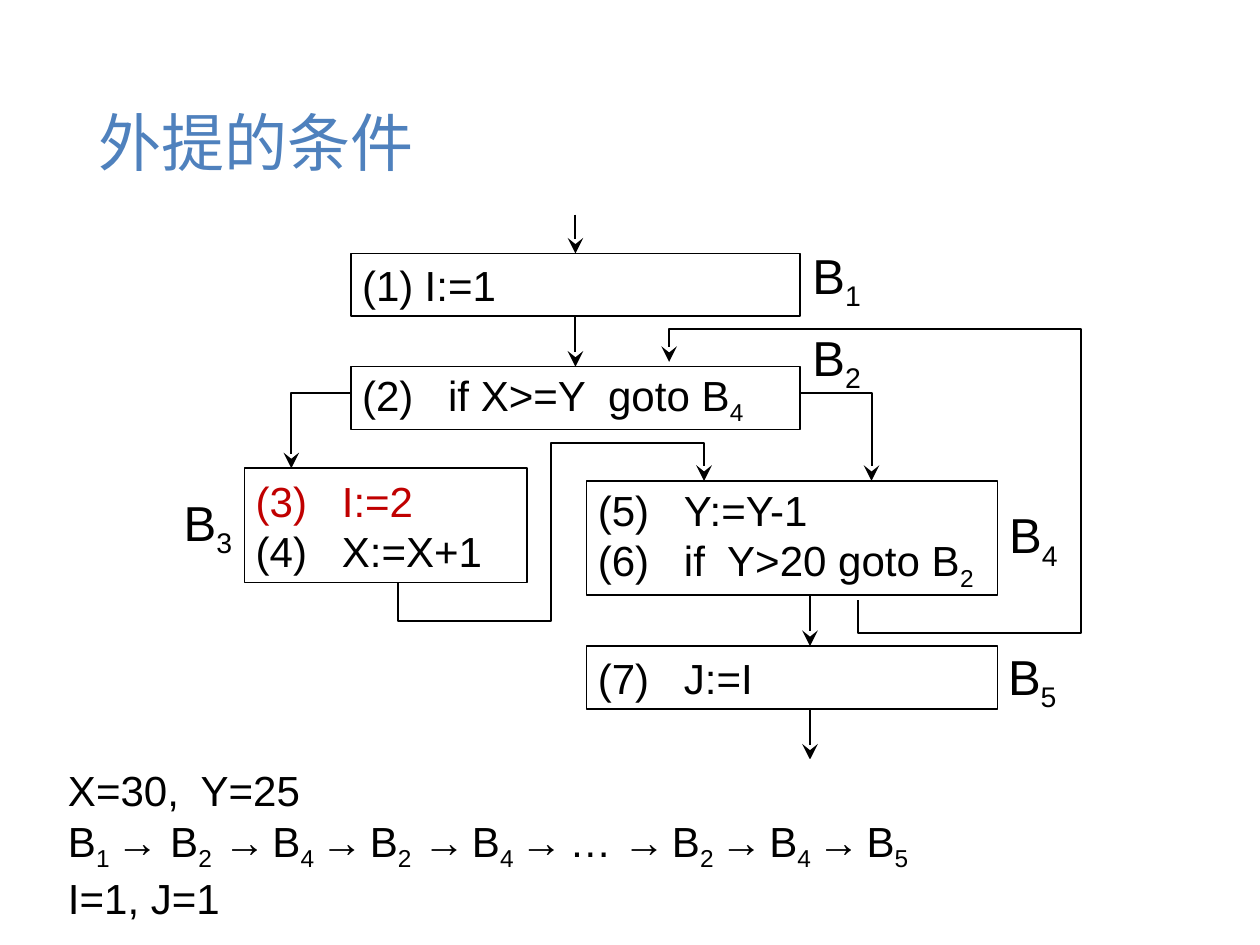
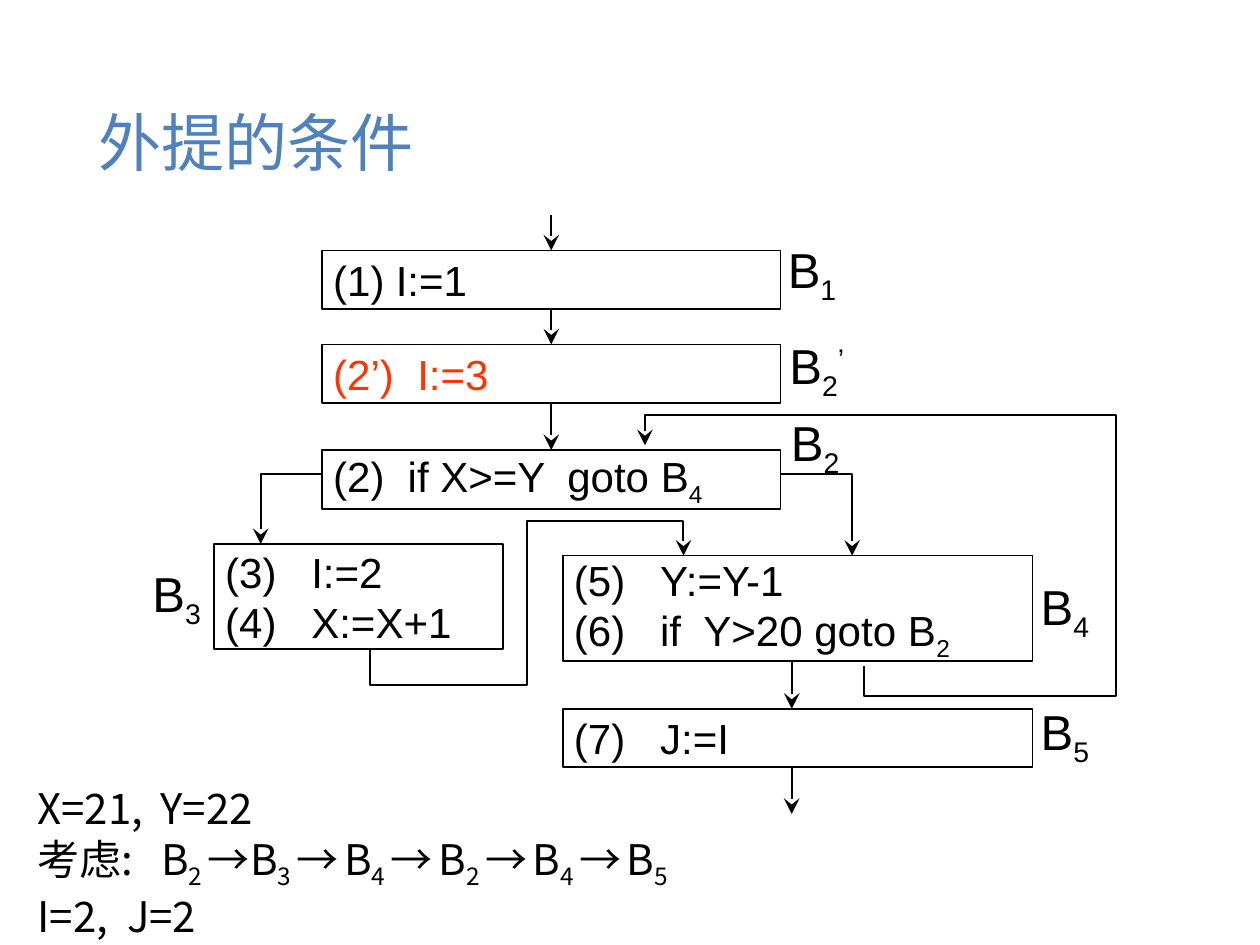
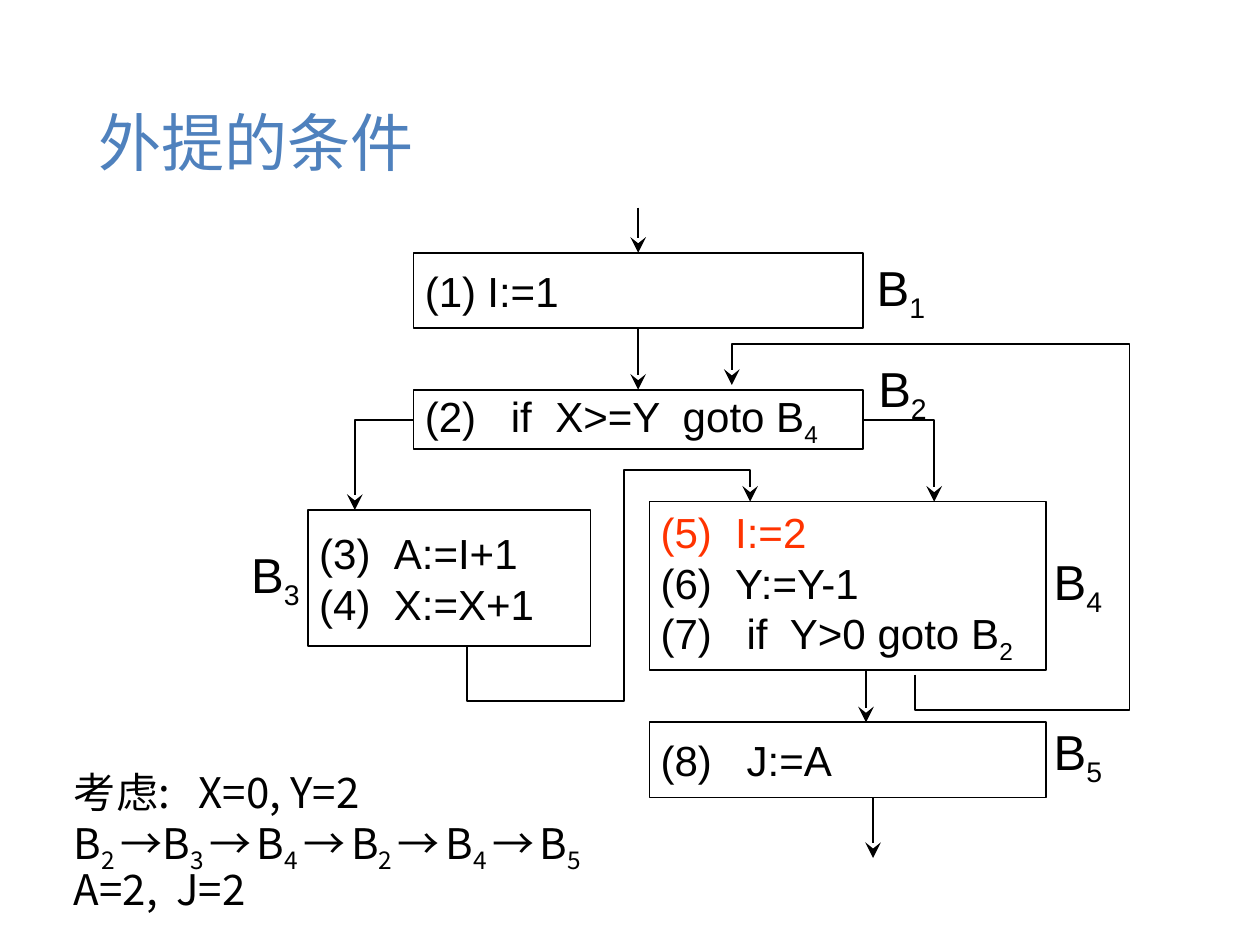
from typing import NamedTuple

from lxml import etree
from pptx import Presentation
from pptx.dml.color import RGBColor as RGB
from pptx.enum.shapes import MSO_CONNECTOR as CONN, MSO_SHAPE as SHAPE
from pptx.enum.text import MSO_ANCHOR as ANCHOR, PP_ALIGN as ALIGN
from pptx.oxml.ns import qn
from pptx.util import Pt

HUES = {"ink": "000000", "title": "4F81BD", "paper": "FFFFFF",
        "dark": "C00000", "red": "FF3300"}
CJK = "Noto Sans CJK SC"
TITLE = {"name": CJK, "size": Pt(39.7)}
CODE = {"name": "Arial", "size": Pt(26.5)}
NOTE = {"name": CJK, "size": Pt(26.5)}
LABEL = {"name": "Arial", "size": Pt(30.9)}
HEAD = {"type": "stealth", "w": "lg", "len": "lg"}
THIN, FLOW = 1, 1.25
ROUTE = "B|2 |→B|3 |→| |B|4 |→| |B|2 |→| |B|4 |→| |B|5"


class Line(NamedTuple):
    """Text whose odd parts between bars are subscripts, with its tab stops."""
    text: str
    stops: tuple = ()
    hue: str = "ink"


class Box(NamedTuple):
    left: float
    top: float
    width: float
    height: float

    @property
    def right(self):
        return self.left + self.width

    @property
    def base(self):
        return self.top + self.height

    @property
    def mid(self):
        return self.left + self.width / 2


def color(name):
    return RGB.from_string(HUES[name])


def add_run(para, text, style, hue, shift):
    run = para.add_run()
    run.text = text
    for key, value in style.items():
        setattr(run.font, key, value)
    run.font.color.rgb = color(hue)
    props = run.font._element
    etree.SubElement(props, qn("a:ea"), typeface=style["name"])
    if shift:
        props.set("baseline", str(shift * 1000))


def write(shape, lines, style, anchor=ANCHOR.MIDDLE, align=ALIGN.LEFT,
          wrap=True, space=1.0):
    frame = shape.text_frame
    for key, value in {"word_wrap": wrap, "vertical_anchor": anchor}.items():
        setattr(frame, key, value)
    for num, line in enumerate(lines):
        para = frame.add_paragraph() if num else frame.paragraphs[0]
        para.alignment, para.line_spacing = align, space
        if line.stops:
            tabs = etree.SubElement(para._p.get_or_add_pPr(), qn("a:tabLst"))
            for stop in line.stops:
                etree.SubElement(tabs, qn("a:tab"), pos=str(Pt(stop)), algn="l")
        for part, text in enumerate(line.text.split("|")):
            if text.startswith("^"):
                add_run(para, text[1:], style, line.hue, 30)
            elif text:
                add_run(para, text, style, line.hue, -25 if part % 2 else 0)


def add_title(slide, text):
    box = slide.shapes.add_textbox(*map(Pt, (54.75, 31.5, 685, 115)))
    write(box, [Line(text, hue="title")], TITLE)


def add_rect(slide, box):
    rect = slide.shapes.add_shape(SHAPE.RECTANGLE, *map(Pt, box))
    rect.shadow.inherit = False
    return rect


def add_block(slide, box, lines):
    rect = add_rect(slide, box)
    rect.fill.background()
    rect.line.color.rgb = color("ink")
    rect.line.width = Pt(THIN)
    write(rect, lines, CODE)


def add_label(slide, text, x, y):
    """Block name centred on x, y."""
    box = slide.shapes.add_textbox(*map(Pt, (x - 32, y - 24, 64, 48)))
    write(box, [Line(text)], LABEL, align=ALIGN.CENTER, wrap=False)


def add_note(slide, box, lines, style=NOTE, space=1.0):
    rect = add_rect(slide, Box(*box))
    rect.fill.solid()
    rect.fill.fore_color.rgb = color("paper")
    rect.line.fill.background()
    write(rect, lines, style, ANCHOR.TOP, space=space)


def add_arrow(slide, *dots):
    """Arrow through the dots: a connector for two, else a bent outline."""
    pts = [(Pt(x), Pt(y)) for x, y in dots]
    if len(pts) == 2:
        arrow = slide.shapes.add_connector(CONN.STRAIGHT, *pts[0], *pts[1])
    else:
        path = slide.shapes.build_freeform(*pts[0])
        path.add_line_segments(pts[1:], close=False)
        arrow = path.convert_to_shape()
        arrow.fill.background()
    arrow.line.color.rgb = color("ink")
    arrow.line.width = Pt(FLOW)
    props = arrow._element.spPr
    etree.SubElement(props.find(qn("a:ln")), qn("a:tailEnd"), HEAD)
    etree.SubElement(props, qn("a:effectLst"))


def add_flow(slide, trunk, then, loop, last, start, fork, exits, drop, back, hop):
    """Trunk blocks in a column, then two branches, a loop and an exit.

    Every block is a pair of box and lines. fork is the branch height, exits
    the x of the two lower arrows, drop the length of the last one, back the
    x and top of the loop line, hop the bends from one branch to the other.
    """
    for box, lines in (*trunk, then, loop, last):
        add_block(slide, box, lines)
    boxes = [box for box, _ in trunk]
    test, left, right, end = boxes[-1], then[0], loop[0], last[0]

    ends = [start] + [box.base for box in boxes[:-1]]
    for y, box in zip(ends, boxes):
        add_arrow(slide, (box.mid, y), (box.mid, box.top))

    for side, x, goal in ((test.left, left.left + 29.5, left),
                          (test.right, test.right + 45, right)):
        add_arrow(slide, (side, fork), (x, fork), (x, goal.top))

    add_arrow(slide, (exits[0], right.base), (exits[0], end.top))
    add_arrow(slide, (exits[1], end.base), (exits[1], end.base + drop))

    x, high = back
    low, far, near = end.top - 8, right.right + 52.5, test.mid + 59
    add_arrow(slide, (x, right.base + 3), (x, low), (far, low),
              (far, high), (near, high), (near, test.top - 3))

    x, low, turn, high, goal = hop
    add_arrow(slide, (x, left.base), (x, low), (turn, low),
              (turn, high), (goal, high), (goal, right.top))


def first_slide(slide):
    add_flow(
        slide,
        trunk=[(Box(221, 159.75, 283, 39.5), [Line("(1)\tI:=1", (39.5,))]),
               (Box(221, 231, 283, 39.5),
                [Line("(2)\tif X>=Y\tgoto B|4", (54.25, 155))])],
        then=(Box(154, 295, 178, 72),
              [Line("(3)\tI:=2", (54.25,), "dark"),
               Line("(4)\tX:=X+1", (54.25,))]),
        loop=(Box(369.5, 303, 259, 72),
              [Line("(5)\tY:=Y-1", (54.25,)),
               Line("(6)\tif\tY>20 goto B|2", (54.25, 81.5))]),
        last=(Box(369.5, 407, 259, 39.75), [Line("(7)\tJ:=I", (54.25,))]),
        start=135.25, fork=247.5, exits=(510.25, 510.25), drop=31.75,
        back=(540.75, 207.25), hop=(250.5, 391, 347, 279.25, 443.5))
    for label in (("B|1", 527, 175.75), ("B|2", 527, 227.5),
                  ("B|3", 131, 331.25), ("B|4", 651, 339), ("B|5", 650.25, 428)):
        add_label(slide, *label)
    add_note(slide, (35.75, 478, 685, 104), [
        Line("X=30,\tY=25", (83.5,)),
        Line("B|1 |→ B|2| →| |B|4 |→| |B|2| →| |B|4 |→| |… →| |B|2 |"
             "→| |B|4 |→| |B|5"),
        Line("I=1, J=1")], CODE)


def second_slide(slide):
    add_flow(
        slide,
        trunk=[(Box(202.75, 157.75, 289, 37), [Line("(1)\tI:=1", (39.5,))]),
               (Box(202.75, 217, 289, 37), [Line("(2’)\tI:=3", (53,), "red")]),
               (Box(202.75, 283.5, 289, 37),
                [Line("(2)\tif X>=Y\tgoto B|4", (47, 147.5))])],
        then=(Box(134.75, 342.75, 182, 66),
              [Line("(3)\tI:=2", (54.25,)), Line("(4)\tX:=X+1", (54.25,))]),
        loop=(Box(354.5, 350, 296, 66.5),
              [Line("(5)\tY:=Y-1", (54.25,)),
               Line("(6)\tif\tY>20 goto B|2", (54.25, 81.5))]),
        last=(Box(354.5, 446.5, 296, 36.75), [Line("(7)\tJ:=I", (54.25,))]),
        start=135.25, fork=298.5, exits=(498.75, 498.75), drop=29.5,
        back=(544.25, 261.5), hop=(233.25, 431.5, 332, 328, 430.5))
    for label in (("B|1", 511.5, 172), ("B|2|^’", 514.5, 232.5),
                  ("B|2", 513.5, 280.75), ("B|3", 111.25, 375.75),
                  ("B|4", 670.75, 384), ("B|5", 670.75, 463)):
        add_label(slide, *label)
    add_note(slide, (16.5, 489.5, 433, 104), [
        Line("X=21,\tY=22", (77.5,)),
        Line("考虑:\t" + ROUTE, (78,)),
        Line("I=2,\tJ=2", (56.5,))])


def third_slide(slide):
    add_flow(
        slide,
        trunk=[(Box(260.5, 159.25, 283, 47.5), [Line("(1)\tI:=1", (39.5,))]),
               (Box(260.5, 245.5, 283, 37.5),
                [Line("(2)\tif\tX>=Y\tgoto B|4", (54.25, 82.25, 162.5))])],
        then=(Box(194, 321.25, 178, 85.75),
              [Line("(3)\tA:=I+1", (47,)), Line("(4)\tX:=X+1", (47,))]),
        loop=(Box(409, 316, 250, 106),
              [Line("(5)\tI:=2", (47,), "red"), Line("(6)\tY:=Y-1", (47,)),
               Line("(7)\tif\tY>0 goto B|2", (54.25, 81.5))]),
        last=(Box(409, 455, 250, 47.5), [Line("(8)\tJ:=A", (54.25,))]),
        start=130.75, fork=264.5, exits=(545.5, 550), drop=38,
        back=(576.5, 216.75), hop=(294, 441.5, 393, 296, 472.5))
    for label in (("B|1", 567.5, 183), ("B|2", 568.5, 247), ("B|3", 173.5, 364),
                  ("B|4", 679, 368.25), ("B|5", 679, 475.5)):
        add_label(slide, *label)
    add_note(slide, (39.5, 483, 358, 94), [
        Line("考虑:\tX=0, Y=2", (78.5,)),
        Line(ROUTE),
        Line("A=2,\tJ=2", (64.5,))], space=0.9)


def main():
    deck = Presentation()
    deck.slide_width, deck.slide_height = Pt(793.7), Pt(595.28)
    for draw in (first_slide, second_slide, third_slide):
        slide = deck.slides.add_slide(deck.slide_layouts[6])
        add_title(slide, "外提的条件")
        draw(slide)
    deck.save("out.pptx")


if __name__ == "__main__":
    main()
